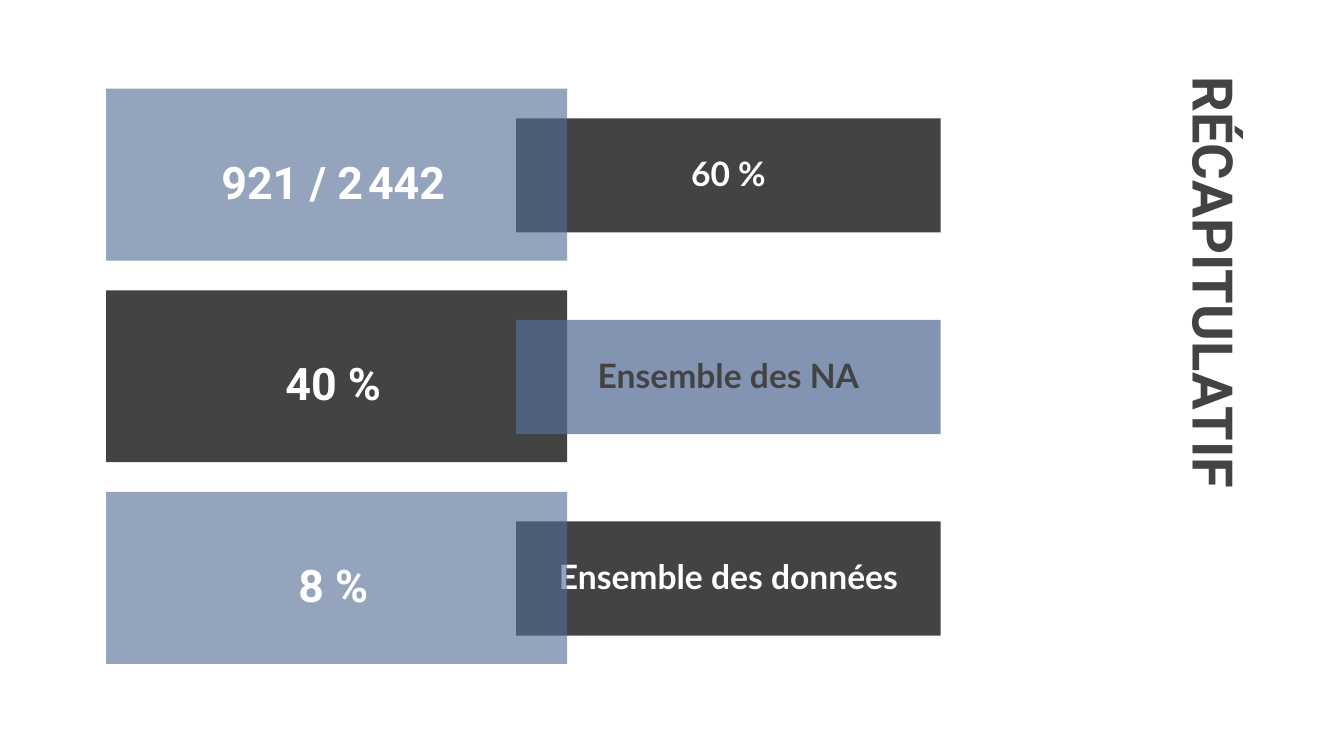
import pptx
import pptx.util
import pptx.dml.color
import pptx.enum.shapes
import pptx.enum.text
import pptx.oxml.ns
import lxml.etree
from dataclasses import dataclass


@dataclass(frozen=True)
class Theme:
    dark: str = "434343"
    blue: str = "556D96"
    white: str = "FFFFFF"
    head: str = "Roboto"
    body: str = "Lato"
    title: float = 30
    large: float = 24
    small: float = 18
    thin: float = 10.5


THEME = Theme()
WIDE = 10
HIGH = WIDE * 9 / 16
PITCH = 1.5                    # distance between rows
LEFT = (0.79, 0.66, 3.43, 1.28)    # first box of the left column
RIGHT = (3.84, 0.88, 3.16, 0.85)   # first box of the right column
LABEL = 0.53                   # height of every label
ALIGN = pptx.enum.text.PP_ALIGN

# Each row: left runs, right runs, left alpha and right alpha
ROWS = [
    ([("921 / 2", THEME.large), (" ", THEME.thin), ("442", THEME.large)],
     [("60 %", THEME.small)], 62, 100),
    ([("40 %", THEME.large)], [("Ensemble des NA", THEME.small)], 100, 73),
    ([("8 %", THEME.large)], [("Ensemble des données", THEME.small)], 62, 100),
]


def place(shape, box):
    """Move a shape to a box given in inches."""
    for name, value in zip(("left", "top", "width", "height"), box):
        setattr(shape, name, pptx.util.Inches(value))


def write(shape, runs, face, color, align):
    """Fill a text frame with bold runs of (text, size)."""
    frame = shape.text_frame
    format = {
        "word_wrap": True,
        "auto_size": pptx.enum.text.MSO_AUTO_SIZE.NONE,
        "vertical_anchor": pptx.enum.text.MSO_ANCHOR.TOP,
    }
    for side in ("left", "top", "right", "bottom"):
        format["margin_" + side] = pptx.util.Inches(0.1)
    for name, value in format.items():
        setattr(frame, name, value)
    line = frame.paragraphs[0]
    line.alignment = align
    for text, size in runs:
        run = line.add_run()
        run.text = text
        style = {"name": face, "size": pptx.util.Pt(size), "bold": True}
        for name, value in style.items():
            setattr(run.font, name, value)
        run.font.color.rgb = pptx.dml.color.RGBColor.from_string(color)


def add_bar(slide, box, color, alpha):
    """Draw a plain bar, see-through when alpha is below 100."""
    kind = pptx.enum.shapes.MSO_SHAPE.RECTANGLE
    bar = slide.shapes.add_shape(kind, 0, 0, 0, 0)
    place(bar, box)
    bar.shadow.inherit = False
    bar.line.fill.background()
    bar.fill.solid()
    bar.fill.fore_color.rgb = pptx.dml.color.RGBColor.from_string(color)
    if alpha < 100:
        tint = bar.element.spPr.find(".//" + pptx.oxml.ns.qn("a:srgbClr"))
        mark = lxml.etree.SubElement(tint, pptx.oxml.ns.qn("a:alpha"))
        mark.set("val", str(alpha * 1000))


def add_label(slide, box, runs, face, color):
    """Add a centred label."""
    label = slide.shapes.add_textbox(0, 0, 0, 0)
    place(label, box)
    write(label, runs, face, color, ALIGN.CENTER)


def add_title(slide, text):
    """Turn the title on its side along the right edge."""
    title = slide.shapes.title
    place(title, (7.22, 2.11, 3.81, LABEL))
    title.rotation = 90
    write(title, [(text, THEME.title)], THEME.head, THEME.dark, ALIGN.LEFT)


def add_row(slide, index, row):
    """Draw two bars that overlap, the clear one in front."""
    first, second, near, far = row
    drop = index * PITCH
    parts = [
        (LEFT, near, first, THEME.head, (0.93, 1.05, 3.1, LABEL)),
        (RIGHT, far, second, THEME.body, (3.84, 1.04, 3.16, LABEL)),
    ]
    for bar, alpha, runs, face, label in sorted(parts, key=lambda part: -part[1]):
        spots = [(x, y + drop, w, h) for x, y, w, h in (bar, label)]
        clear = alpha < 100
        add_bar(slide, spots[0], THEME.blue if clear else THEME.dark, alpha)
        ink = THEME.dark if clear and bar is RIGHT else THEME.white
        add_label(slide, spots[1], runs, face, ink)


def main():
    deck = pptx.Presentation()
    deck.slide_width = pptx.util.Inches(WIDE)
    deck.slide_height = pptx.util.Inches(HIGH)
    slide = deck.slides.add_slide(deck.slide_layouts[5])
    add_title(slide, "RÉCAPITULATIF")
    for index, row in enumerate(ROWS):
        add_row(slide, index, row)
    deck.save("out.pptx")


if __name__ == "__main__":
    main()
